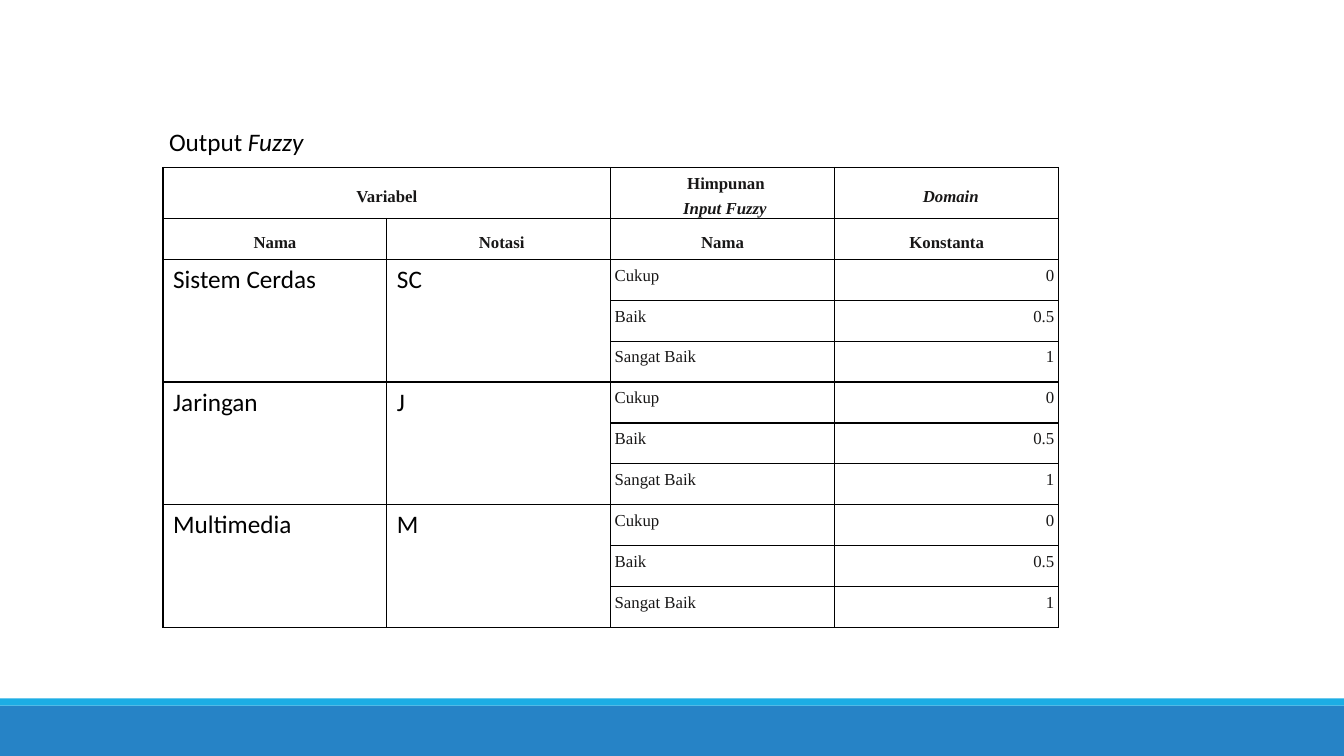
"""Build the slide with the table of fuzzy output variables."""
from lxml import etree
from pptx import Presentation
from pptx.dml.color import RGBColor
from pptx.enum.shapes import MSO_SHAPE
from pptx.enum.text import MSO_ANCHOR, MSO_AUTO_SIZE, PP_ALIGN
from pptx.oxml.ns import qn
from pptx.util import Cm, Pt

RECTANGLE = MSO_SHAPE.RECTANGLE
LEFT, CENTER, RIGHT = PP_ALIGN.LEFT, PP_ALIGN.CENTER, PP_ALIGN.RIGHT
TOP, MIDDLE = MSO_ANCHOR.TOP, MSO_ANCHOR.MIDDLE
FIT_SHAPE = MSO_AUTO_SIZE.SHAPE_TO_FIT_TEXT
BODY_FONT, TABLE_FONT = "Calibri", "Times New Roman"
BLACK, INK = "000000", "181717"


def color(hex_code):
    return RGBColor.from_string(hex_code)


def write(paragraph, text, font=TABLE_FONT, size=12, ink=INK, bold=False,
          italic=False, align=LEFT, spacing=None, indent=None):
    paragraph.alignment = align
    if spacing:
        paragraph.line_spacing = spacing
    if indent is not None:
        properties = paragraph._p.get_or_add_pPr()
        properties.set("marL", str(Cm(indent)))
        properties.set("indent", str(Cm(-0.03)))
    run = paragraph.add_run()
    run.text = text
    run.font.name = font
    run.font.size = Pt(size)
    run.font.bold = bold
    run.font.italic = italic
    run.font.color.rgb = color(ink)


presentation = Presentation()
presentation.slide_width = Cm(33.87)
presentation.slide_height = Cm(19.05)
slide = presentation.slides.add_slide(presentation.slide_layouts[6])

for top, height, fill in [(17.78, 1.27, "2683C6"), (17.6, 0.18, "1CADE4")]:
    band = slide.shapes.add_shape(RECTANGLE, 0, Cm(top), Cm(33.87), Cm(height))
    band.shadow.inherit = False
    band.fill.solid()
    band.fill.fore_color.rgb = color(fill)
    band.line.fill.background()

table = slide.shapes.add_table(11, 4, Cm(4.11), Cm(4.22), Cm(22.58), Cm(11.6)).table
table.first_row = False
table.horz_banding = False
for column in table.columns:
    column.width = Cm(5.64)
for row in table.rows:
    row.height = Cm(1.03)
table.rows[0].height = Cm(1.28)

for cell in table.iter_cells():
    cell.fill.background()
    properties = cell._tc.get_or_add_tcPr()
    for position, side in enumerate(["a:lnL", "a:lnR", "a:lnT", "a:lnB"]):
        border = etree.Element(qn(side), w=str(Pt(1)))
        border_fill = etree.SubElement(border, qn("a:solidFill"))
        etree.SubElement(border_fill, qn("a:srgbClr"), val=BLACK)
        properties.insert(position, border)

table.cell(0, 0).merge(table.cell(0, 1))
headings = [
    (0, 0, 0, "Variabel", False),
    (0, 2, 0.2, "Himpunan", False),
    (0, 3, 0.25, "Domain", True),
    (1, 0, 0, "Nama", False),
    (1, 1, 0.18, "Notasi", False),
    (1, 2, 0, "Nama", False),
    (1, 3, 0.05, "Konstanta", False),
]
for row, column, indent, text, italic in headings:
    write(table.cell(row, column).text_frame.paragraphs[0], text, bold=True,
          italic=italic, align=CENTER, spacing=1.15, indent=indent)
set_heading = table.cell(0, 2).text_frame
set_heading.paragraphs[0].line_spacing = 1.19
set_heading.paragraphs[0].space_after = Pt(2.5)
write(set_heading.add_paragraph(), "Input Fuzzy", bold=True, italic=True,
      align=CENTER, spacing=1.15, indent=0.15)

variables = [("Sistem Cerdas", "SC"), ("Jaringan", "J"), ("Multimedia", "M")]
fuzzy_sets = [("Cukup", "0"), ("Baik", "0.5"), ("Sangat Baik", "1")]
for group, variable in enumerate(variables):
    first = 2 + group * len(fuzzy_sets)
    for column, text in enumerate(variable):
        cell = table.cell(first, column)
        cell.merge(table.cell(first + len(fuzzy_sets) - 1, column))
        write(cell.text_frame.paragraphs[0], text, font=BODY_FONT, size=18, ink=BLACK)
    for row, (set_name, constant) in enumerate(fuzzy_sets, first):
        for column, text, align in [(2, set_name, LEFT), (3, constant, RIGHT)]:
            write(table.cell(row, column).text_frame.paragraphs[0], text,
                  align=align, spacing=1.15, indent=0)

for row in range(11):
    for column in range(4):
        if row < 2 or column > 1:
            cell = table.cell(row, column)
            cell.margin_left = cell.margin_right = cell.margin_top = Cm(0.1)
            cell.margin_bottom = 0
            cell.vertical_anchor = MIDDLE if row < 2 else TOP

caption = slide.shapes.add_textbox(Cm(4.01), Cm(3.07), Cm(3.94), Cm(1.02)).text_frame
caption.word_wrap = False
caption.auto_size = FIT_SHAPE
for text, italic in [("Output ", False), ("Fuzzy", True)]:
    write(caption.paragraphs[0], text, font=BODY_FONT, size=18, ink=BLACK, italic=italic)

presentation.save("out.pptx")
